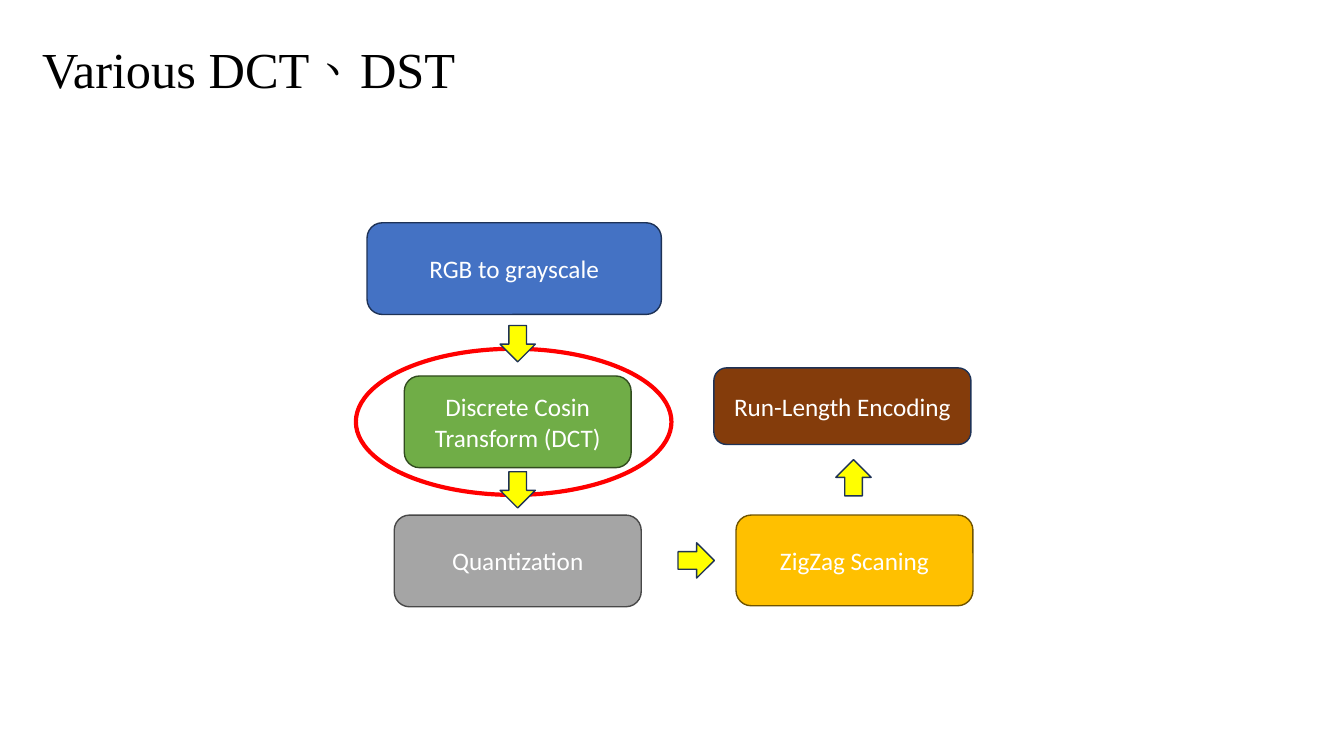
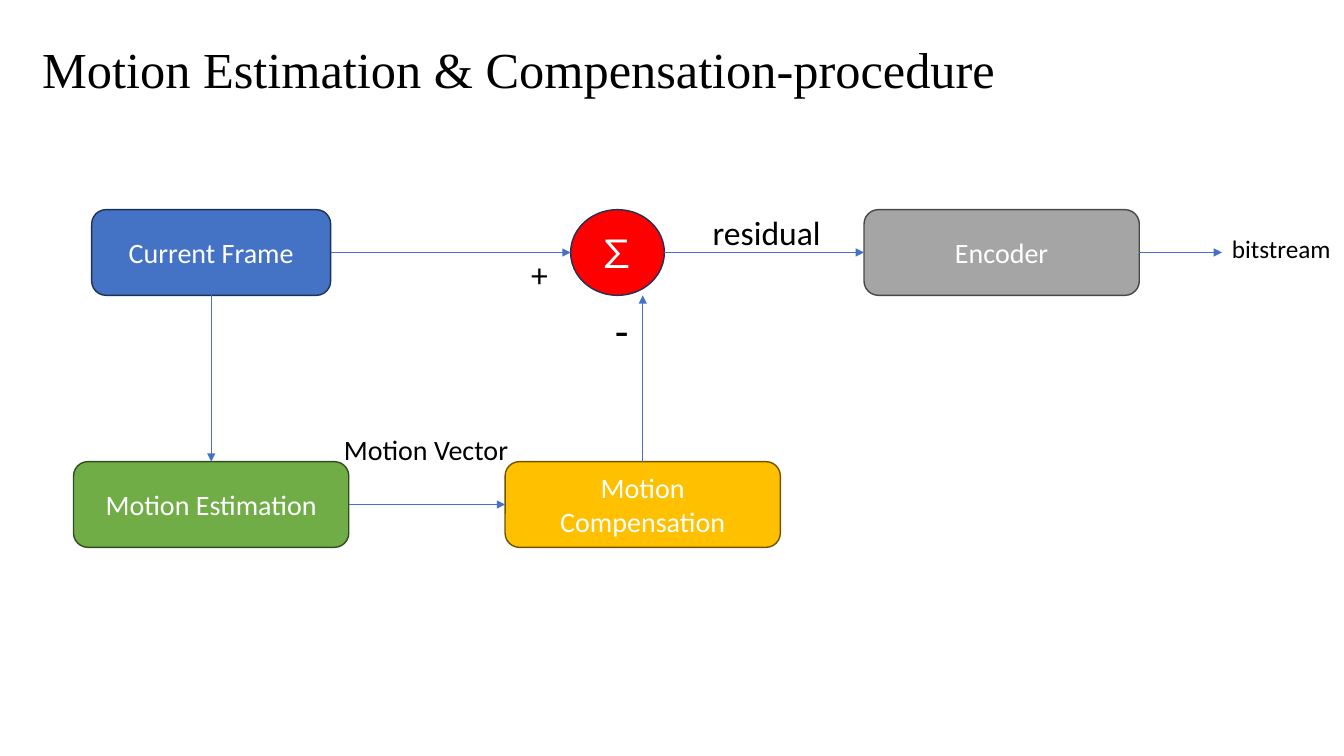
import dataclasses

import pptx
import pptx.dml.color
import pptx.enum.shapes
import pptx.enum.text
import pptx.oxml
import pptx.oxml.ns
import pptx.util

Inches = pptx.util.Inches
SHAPE = pptx.enum.shapes.MSO_SHAPE
ALIGN = pptx.enum.text.PP_ALIGN
ANCHOR = pptx.enum.text.MSO_ANCHOR
TOP, LEFT, BOTTOM, RIGHT = range(4)


@dataclasses.dataclass(frozen=True)
class Theme:
    body_font: str = "Calibri"
    title_font: str = "Times New Roman"
    symbol_font: str = "Noto Sans CJK SC"
    black: str = "000000"
    white: str = "FFFFFF"
    blue: str = "4472C4"
    navy: str = "1E3256"
    green: str = "70AD47"
    dark_green: str = "314C1F"
    gray: str = "A5A5A5"
    dark_gray: str = "484848"
    gold: str = "FFC000"
    dark_gold: str = "705400"
    brown: str = "843C0B"
    yellow: str = "FFFF00"
    red: str = "FF0000"
    title: int = 36
    minus: int = 32
    symbol: int = 28
    sign: int = 24
    label: int = 20
    small: int = 18


T = Theme()


def rgb(value):
    return pptx.dml.color.RGBColor.from_string(value)


def write(sp, text, size=T.label, font=T.body_font, color=T.black,
          align=ALIGN.LEFT, anchor=ANCHOR.TOP, lang="en-US"):
    tf = sp.text_frame
    tf.word_wrap = True
    tf.vertical_anchor = anchor
    p = tf.paragraphs[0]
    p.alignment = align
    r = p.add_run()
    r.text = text
    r.font.size = pptx.util.Pt(size)
    r.font.name = font
    r.font.color.rgb = rgb(color)
    rpr = r._r.get_or_add_rPr()
    rpr.set("lang", lang)
    ea = pptx.oxml.parse_xml(
        f'<a:ea {pptx.oxml.ns.nsdecls("a")} typeface="{font}"/>')
    rpr.find(pptx.oxml.ns.qn("a:latin")).addnext(ea)


def add_label(s, text, at, **fmt):
    sp = s.shapes.add_textbox(*map(Inches, at))
    write(sp, text, **fmt)
    return sp


def add_title(s, text):
    add_label(s, text, (0.32, 0.33, 9.87, 0.71),
              size=T.title, font=T.title_font, lang="zh-TW")


def add_figure(s, kind, at, fill, line, weight=1):
    sp = s.shapes.add_shape(kind, *map(Inches, at))
    sp.shadow.inherit = False
    sp.fill.solid()
    sp.fill.fore_color.rgb = rgb(fill)
    sp.line.color.rgb = rgb(line)
    sp.line.width = pptx.util.Pt(weight)
    return sp


def add_node(s, text, at, fill, line, kind=SHAPE.ROUNDED_RECTANGLE, **fmt):
    sp = add_figure(s, kind, at, fill, line)
    write(sp, text, color=T.white, align=ALIGN.CENTER, anchor=ANCHOR.MIDDLE, **fmt)
    return sp


def add_block_arrow(s, left, top, rotation=0):
    sp = add_figure(s, SHAPE.DOWN_ARROW, (left, top, 0.35, 0.36), T.yellow, T.navy)
    sp.rotation = rotation


def side(sp, site):
    mid_x, mid_y = sp.left + sp.width // 2, sp.top + sp.height // 2
    return {TOP: (mid_x, sp.top), LEFT: (sp.left, mid_y),
            BOTTOM: (mid_x, sp.top + sp.height),
            RIGHT: (sp.left + sp.width, mid_y)}[site]


def add_arrow(s, start, stop, begin=None, end=None):
    cx = s.shapes.add_connector(
        pptx.enum.shapes.MSO_CONNECTOR.STRAIGHT, *start, *stop)
    if begin:
        cx.begin_connect(*begin)
    if end:
        cx.end_connect(*end)
    cx.line.color.rgb = rgb(T.blue)
    cx.line.width = pptx.util.Pt(0.5)
    ns = pptx.oxml.ns.nsdecls("a")
    cx.line._get_or_add_ln().append(
        pptx.oxml.parse_xml(f'<a:tailEnd {ns} type="triangle"/>'))
    cx._element.spPr.append(pptx.oxml.parse_xml(f"<a:effectLst {ns}/>"))


def add_link(s, begin, end):
    add_arrow(s, side(*begin), side(*end), begin, end)


def build_transforms(s):
    add_title(s, "Various DCT、DST")
    add_figure(s, SHAPE.OVAL, (3.53, 3.46, 3.13, 1.45), T.white, T.red, 3)
    for text, at, fill, line in (
        ("RGB to grayscale", (3.64, 2.21, 2.92, 0.91), T.blue, T.navy),
        ("Discrete Cosin Transform (DCT)", (4.01, 3.73, 2.25, 0.91),
         T.green, T.dark_green),
        ("Quantization", (3.91, 5.11, 2.45, 0.91), T.gray, T.dark_gray),
        ("ZigZag Scaning", (7.3, 5.11, 2.35, 0.9), T.gold, T.dark_gold),
        ("Run-Length Encoding", (7.08, 3.65, 2.55, 0.76), T.brown, T.navy),
    ):
        add_node(s, text, at, fill, line, size=T.small)
    add_block_arrow(s, 4.96, 3.23)
    add_block_arrow(s, 4.96, 4.68)
    add_block_arrow(s, 6.73, 5.38, 270)
    add_block_arrow(s, 8.29, 4.56, 180)


def build_motion(s):
    add_title(s, "Motion Estimation & Compensation-procedure")
    upper, lower, height, width = 2.08, 4.58, 0.85, 2.73
    frame = add_node(s, "Current Frame", (0.91, upper, 2.37, height), T.blue, T.navy)
    estimation = add_node(s, "Motion Estimation", (0.73, lower, width, height),
                          T.green, T.dark_green)
    compensation = add_node(s, "Motion Compensation", (5.01, lower, width, height),
                            T.gold, T.dark_gold)
    encoder = add_node(s, "Encoder", (8.57, upper, width, height),
                       T.gray, T.dark_gray)
    total = add_node(s, "∑", (5.66, upper, 0.93, height), T.red, T.navy,
                     kind=SHAPE.OVAL, size=T.symbol, font=T.symbol_font)

    add_link(s, (frame, BOTTOM), (estimation, TOP))
    add_link(s, (estimation, RIGHT), (compensation, LEFT))
    add_arrow(s, side(frame, RIGHT), side(total, LEFT), begin=(frame, RIGHT))
    add_arrow(s, side(total, RIGHT), side(encoder, LEFT), end=(encoder, LEFT))
    x, y = side(compensation, TOP)
    add_arrow(s, (x, y), (x, side(total, BOTTOM)[1]), begin=(compensation, TOP))
    x, y = side(encoder, RIGHT)
    add_arrow(s, (x, y), (Inches(12.12), y), begin=(encoder, RIGHT))

    add_label(s, "residual", (6.97, 2.05, 1.39, 0.5), size=T.sign)
    add_label(s, "Motion Vector", (3.17, 4.24, 2.11, 0.44), align=ALIGN.CENTER)
    add_label(s, "+", (5.17, 2.47, 0.41, 0.5), size=T.sign)
    add_label(s, "-", (6, 2.95, 0.41, 0.64), size=T.minus)
    bitstream = add_label(s, "bitstream", (12.12, 2.27, 1.21, 0.4), size=T.small)
    bitstream.text_frame.margin_right = 0


def main():
    prs = pptx.Presentation()
    prs.slide_width, prs.slide_height = Inches(13.33), Inches(7.5)
    for build in (build_transforms, build_motion):
        build(prs.slides.add_slide(prs.slide_layouts[6]))
    prs.save("out.pptx")


if __name__ == "__main__":
    main()
